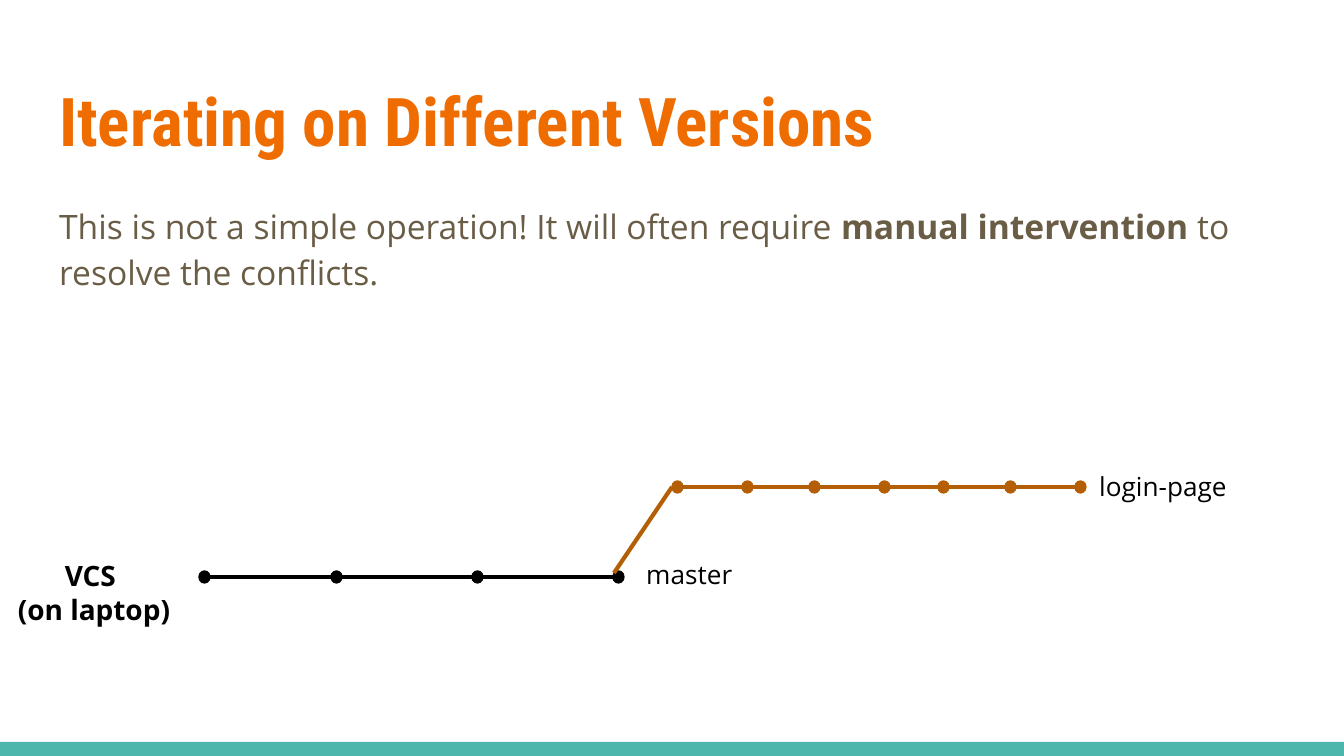
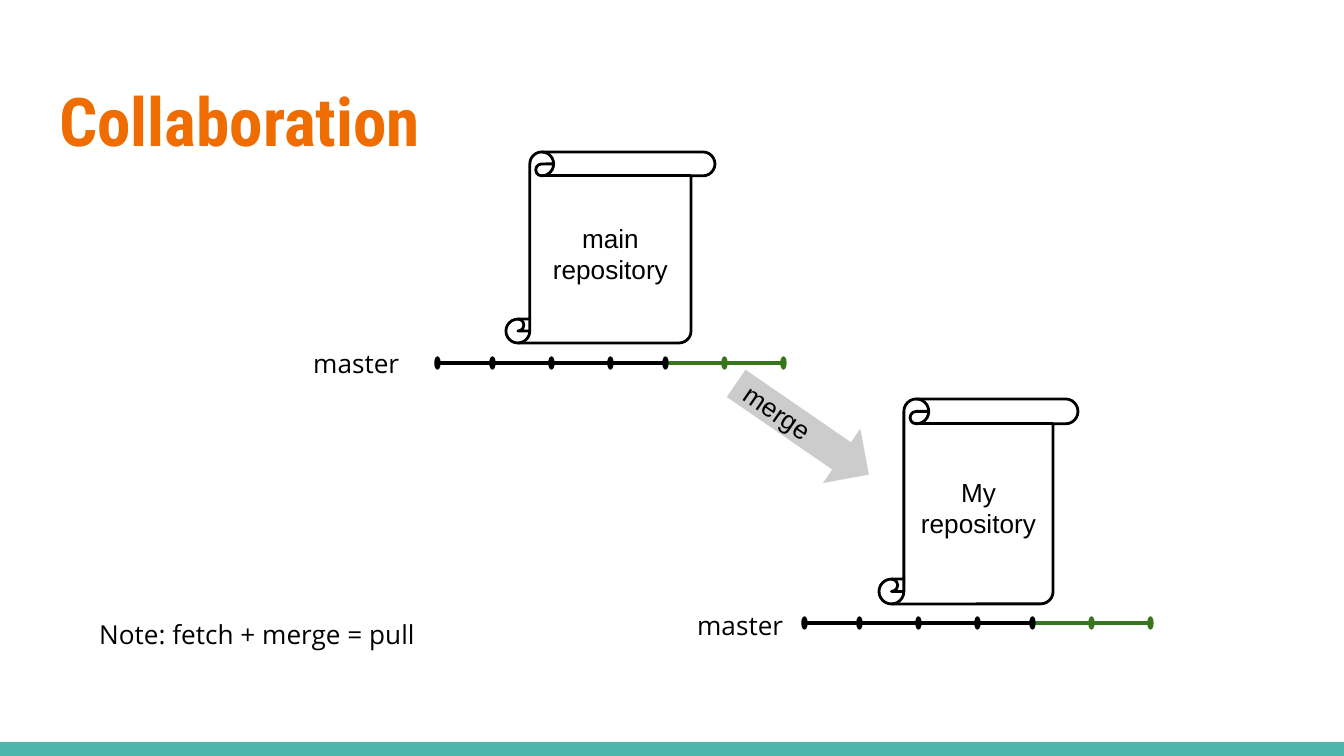
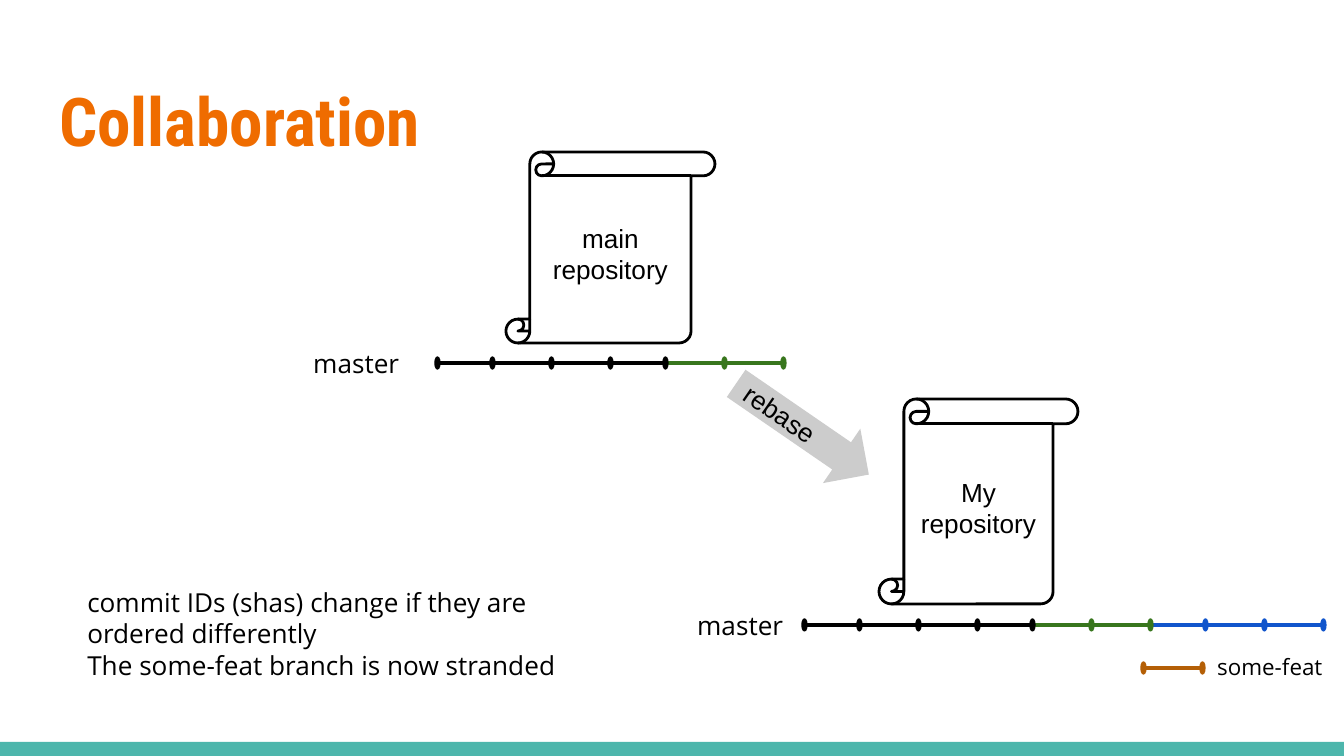
from itertools import accumulate, cycle, islice

from lxml import etree
from pptx import Presentation
from pptx.dml.color import RGBColor
from pptx.enum.shapes import MSO_CONNECTOR, MSO_SHAPE
from pptx.enum.text import MSO_ANCHOR, PP_ALIGN
from pptx.oxml.ns import qn
from pptx.util import Inches, Pt

RECT, OVAL = MSO_SHAPE.RECTANGLE, MSO_SHAPE.OVAL
SCROLL, ARROW = MSO_SHAPE.VERTICAL_SCROLL, MSO_SHAPE.RIGHT_ARROW
STRAIGHT = MSO_CONNECTOR.STRAIGHT
LEFT, CENTER = PP_ALIGN.LEFT, PP_ALIGN.CENTER
TOP, MIDDLE = MSO_ANCHOR.TOP, MSO_ANCHOR.MIDDLE

PX = Inches(1) / 134.4
WIDTH, HEIGHT = 1344, 756
DOT_H = 12
COLOURS = {
    "title": "EF6C00",
    "body": "695D46",
    "band": "4DB6AC",
    "black": "000000",
    "brown": "B45F06",
    "green": "38761D",
    "blue": "1155CC",
    "grey": "CCCCCC",
}


def px(*lengths):
    """Turn pixels into EMU."""
    return [round(n * PX) for n in lengths]


def rgb(name):
    """Look up a colour by name."""
    return RGBColor.from_string(COLOURS[name])


def write(sp, paragraphs, size=14, font="Open Sans", colour="black", bold=False,
          align=LEFT, anchor=TOP, spacing=None, after=None):
    """Fill a shape with paragraphs, each a list of (text, bold) runs or a string."""
    tf = sp.text_frame
    tf.word_wrap = True
    tf.vertical_anchor = anchor
    tf.margin_left = tf.margin_top = tf.margin_right = tf.margin_bottom = Inches(0.1)
    for i, runs in enumerate(paragraphs):
        p = tf.add_paragraph() if i else tf.paragraphs[0]
        p.alignment = align
        if spacing:
            p.line_spacing = spacing
        if after:
            p.space_after = Pt(after)
        for text, strong in [(runs, bold)] if isinstance(runs, str) else runs:
            r = p.add_run()
            r.text = text
            r.font.size = Pt(size)
            r.font.name = font
            r.font.bold = strong
            r.font.color.rgb = rgb(colour)


def label(s, box, *paragraphs, **style):
    """Add a text box."""
    write(s.shapes.add_textbox(*px(*box)), paragraphs, **style)


def shape(s, kind, box, fill=None, line=None, weight=0.75):
    """Add a preset shape without shadow."""
    sp = s.shapes.add_shape(kind, *px(*box))
    sp.shadow.inherit = False
    if fill:
        sp.fill.solid()
        sp.fill.fore_color.rgb = rgb(fill)
    else:
        sp.fill.background()
    if line:
        sp.line.color.rgb = rgb(line)
        sp.line.width = Pt(weight)
    else:
        sp.line.fill.background()
    return sp


def connect(s, x1, y1, x2, y2, colour):
    """Draw a straight line."""
    cx = s.shapes.add_connector(STRAIGHT, *px(x1, y1, x2, y2))
    cx.line.color.rgb = rgb(colour)
    cx.line.width = Pt(2.25)
    etree.SubElement(cx._element.spPr, qn("a:effectLst"))


def history(s, lefts, y, colours, dot=5, length=55, reach=0):
    """Draw a row of commits, each but the first with a line leading to it."""
    commits = list(zip(lefts, colours))
    for x, colour in commits[1:]:
        connect(s, x + reach - length, y, x + reach, y, colour)
    for x, colour in commits:
        shape(s, OVAL, (x, y - DOT_H / 2, dot, DOT_H), colour, colour)


def commit_lefts(start, count):
    """Place commits at the repeating distances of a repository."""
    return accumulate(islice(cycle((55, 59, 59)), count - 1), initial=start)


def repository(s, box, name, start, y, colours):
    """Draw a repository scroll with its commit history."""
    sp = shape(s, SCROLL, box, line="black", weight=1.5)
    write(sp, [name], font="Arial", align=CENTER, anchor=MIDDLE)
    history(s, commit_lefts(start, len(colours)), y, colours)


def new_slide(prs, title):
    """Add a slide with the bottom band and a title."""
    s = prs.slides.add_slide(prs.slide_layouts[6])
    shape(s, RECT, (0, 742, WIDTH, 14), "band")
    label(s, (46, 66, 1253, 103), title, size=36, font="Roboto Condensed",
          colour="title", bold=True)
    return s


def versions_slide(prs):
    """Build the slide about a branch leaving master."""
    s = new_slide(prs, "Iterating on Different Versions")
    label(s, (46, 186, 1253, 117),
          [("This is not a simple operation! It will often require ", False),
           ("manual intervention", True),
           (" to resolve the conflicts.", False)],
          size=18, colour="body", spacing=1.15, after=16)
    history(s, (199, 331, 472, 613), 577, ["black"] * 4, dot=11, length=131)
    connect(s, 672, 487, 614, 573, "brown")
    history(s, (672, 742, 809, 879, 938, 1005, 1075), 487, ["brown"] * 7,
            dot=11, length=70, reach=11)
    label(s, (0, 545, 188, 103), "VCS ", "(on laptop)", size=15, bold=True, align=CENTER)
    label(s, (633, 545, 188, 36), "master")
    label(s, (1086, 457, 188, 36), "login-page")


def collaboration_slide(prs, action, y, own_commits):
    """Build a slide where commits flow from the main to the own repository."""
    s = new_slide(prs, "Collaboration")
    shared = ["black"] * 5 + ["green"] * 2
    repository(s, (506, 152, 209, 191), "main repository", 435, 363, shared)
    repository(s, (879, 399, 199, 205), "My repository", 802, y,
               shared + ["blue"] * own_commits)
    sp = shape(s, ARROW, (722, 396, 161, 66), "grey")
    sp.rotation = 34.5
    write(sp, [action], font="Arial", anchor=MIDDLE)
    label(s, (300, 334, 118, 35), "master")
    label(s, (684, 596, 118, 35), "master")
    return s


def main():
    """Build the deck and save it."""
    prs = Presentation()
    prs.slide_width, prs.slide_height = px(WIDTH, HEIGHT)
    versions_slide(prs)

    s = collaboration_slide(prs, "merge", 623, 0)
    label(s, (86, 605, 380, 59), "Note: fetch + merge = pull")

    s = collaboration_slide(prs, "rebase", 625, 3)
    history(s, (1141, 1200), 668, ["brown"] * 2)
    label(s, (1204, 640, 199, 35), "some-feat", size=12)
    label(s, (74, 573, 555, 129),
          "commit IDs (shas) change if they are ordered differently",
          "The some-feat branch is now stranded")
    prs.save("out.pptx")


main()
